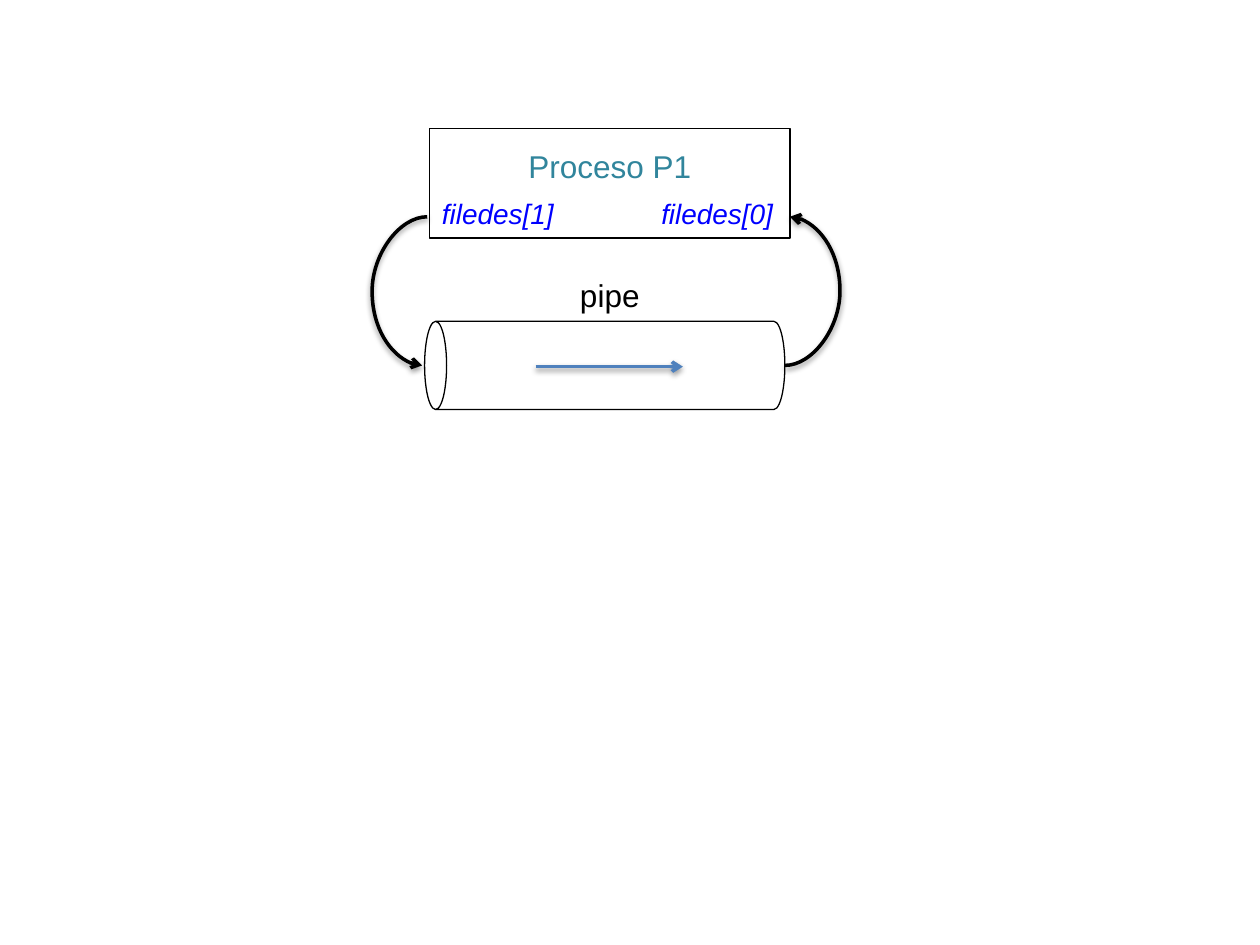
from dataclasses import dataclass
from typing import Optional

from lxml.etree import SubElement
from pptx import Presentation
from pptx.dml.color import RGBColor
from pptx.enum.shapes import MSO_CONNECTOR as Link, MSO_SHAPE as Shape
from pptx.enum.text import MSO_ANCHOR as Anchor, MSO_AUTO_SIZE as AutoSize, PP_ALIGN as Align
from pptx.oxml.ns import qn
from pptx.util import Inches, Pt


@dataclass(frozen=True)
class Theme:
    font: str = "Arial"
    black: str = "000000"
    white: str = "FFFFFF"
    teal: str = "31859C"
    link_blue: str = "0000FF"
    flow_blue: str = "4F81BD"
    label_size: int = 18
    descriptor_size: int = 16
    outline: float = 0.75
    arrow: float = 2


@dataclass(frozen=True)
class Arrow:
    start: tuple[float, float]
    end: tuple[float, float]
    color: str
    flip: Optional[str] = None  # a curve is turned by 180 degrees, then flipped


THEME = Theme()
LEFT, WIDTH = 3.41, 2.86
PORT_TOP, PORT_BOTTOM = 1.72, 2.9
BULGE = 1089200  # in 1/100000 of the curve's width

prs = Presentation()
prs.slide_width, prs.slide_height = Inches(10), Inches(7.5)
slide = prs.slides.add_slide(prs.slide_layouts[6])
shapes = slide.shapes


def write(frame, text: str, *, color: str, size: int, align: Align = Align.CENTER,
          italic: bool = False, tab: Optional[float] = None) -> None:
    frame.word_wrap = True
    paragraph = frame.paragraphs[0]
    paragraph.alignment = align
    run = paragraph.add_run()
    run.text = text
    run.font.name, run.font.size, run.font.italic = THEME.font, Pt(size), italic
    run.font.color.rgb = RGBColor.from_string(color)
    if tab is not None:
        stops = SubElement(paragraph._p.get_or_add_pPr(), qn("a:tabLst"))
        SubElement(stops, qn("a:tab"), pos=str(Inches(tab)), algn="l")


def add_outline(kind: Shape, left: float, top: float, width: float, height: float,
                fill: Optional[str] = None):
    shape = shapes.add_shape(kind, Inches(left), Inches(top), Inches(width), Inches(height))
    shape.shadow.inherit = False
    if fill:
        shape.fill.solid()
        shape.fill.fore_color.rgb = RGBColor.from_string(fill)
    else:
        shape.fill.background()
    shape.line.color.rgb = RGBColor.from_string(THEME.black)
    shape.line.width = Pt(THEME.outline)
    return shape


def add_label(top: float, height: float, text: str, **style) -> None:
    box = shapes.add_textbox(Inches(LEFT), Inches(top), Inches(WIDTH), Inches(height))
    write(box.text_frame, text, **style)
    box.text_frame.auto_size = AutoSize.SHAPE_TO_FIT_TEXT


def add_arrow(arrow: Arrow) -> None:
    kind = Link.CURVE if arrow.flip else Link.STRAIGHT
    link = shapes.add_connector(kind, *(Inches(v) for v in arrow.start + arrow.end))
    link.line.color.rgb = RGBColor.from_string(arrow.color)
    link.line.width = Pt(THEME.arrow)
    properties = link._element.spPr
    SubElement(properties.find(qn("a:ln")), qn("a:tailEnd"), type="arrow")

    if arrow.flip:
        frame = properties.find(qn("a:xfrm"))
        for name in ("flipH", "flipV"):
            frame.attrib.pop(name, None)
        frame.set("rot", "10800000")
        frame.set(arrow.flip, "1")
        guides = properties.find(qn("a:prstGeom")).find(qn("a:avLst"))
        SubElement(guides, qn("a:gd"), name="adj1", fmla=f"val {BULGE}")

    # Soft shadow below the line
    effects = SubElement(properties, qn("a:effectLst"))
    shadow = SubElement(effects, qn("a:outerShdw"), blurRad="40000", dist="20000",
                        dir="5400000", rotWithShape="0")
    shade = SubElement(shadow, qn("a:srgbClr"), val=THEME.black)
    SubElement(shade, qn("a:alpha"), val="38000")


# Process and pipe
process = add_outline(Shape.RECTANGLE, LEFT, 1.02, WIDTH, 0.87)
process.text_frame.vertical_anchor = Anchor.TOP
process.text_frame.margin_top = Inches(0.15)
write(process.text_frame, "Proceso P1", color=THEME.teal, size=THEME.label_size)
pipe = add_outline(Shape.CAN, 4.45, 1.47, 0.7, WIDTH, fill=THEME.white)
pipe.rotation = 270

# Labels
add_label(1.51, 0.37, "filedes[1]\tfiledes[0]", color=THEME.link_blue,
          size=THEME.descriptor_size, align=Align.LEFT, italic=True, tab=1.74)
add_label(2.14, 0.4, "pipe", color=THEME.black, size=THEME.label_size)

# Data flow: into the pipe, through it and back
for flow in (
    Arrow((3.39, PORT_TOP), (3.35, PORT_BOTTOM), THEME.black, "flipV"),
    Arrow((4.25, 2.91), (5.42, 2.91), THEME.flow_blue),
    Arrow((6.23, PORT_BOTTOM), (6.27, PORT_TOP), THEME.black, "flipH"),
):
    add_arrow(flow)

prs.save("out.pptx")
